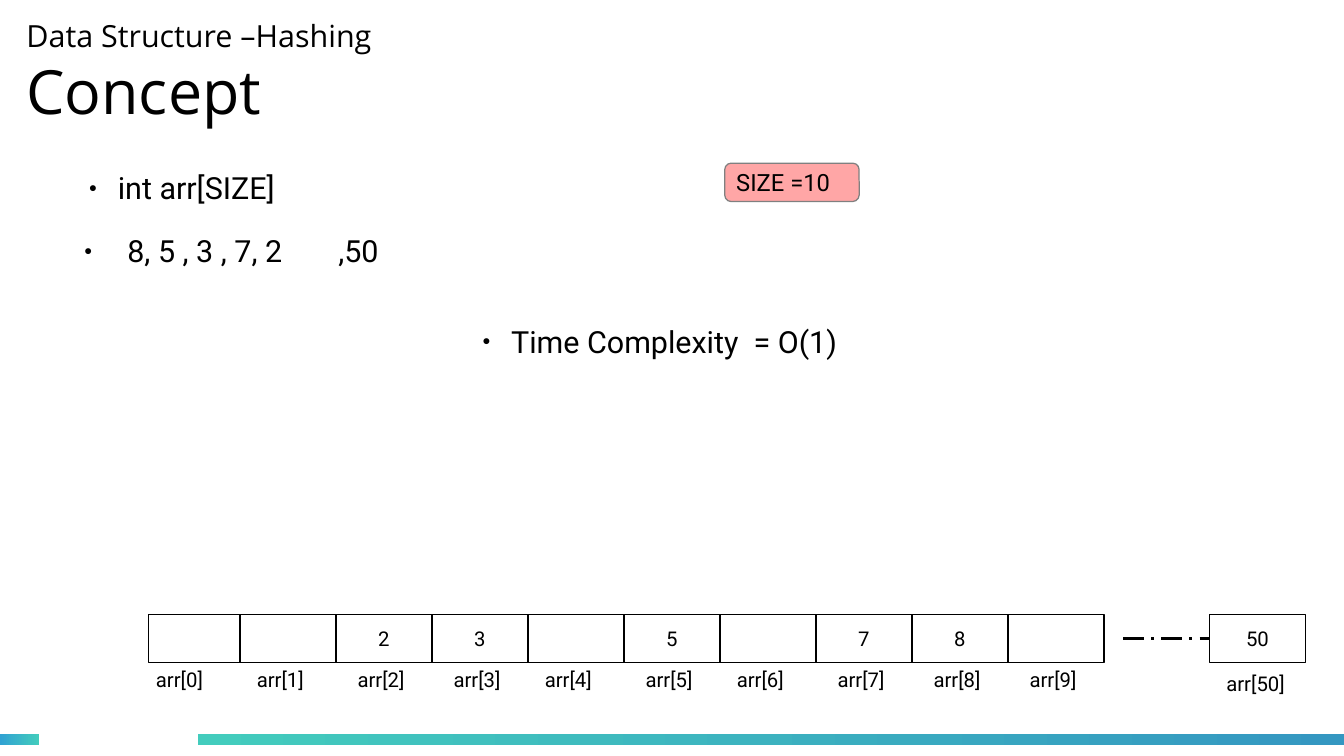
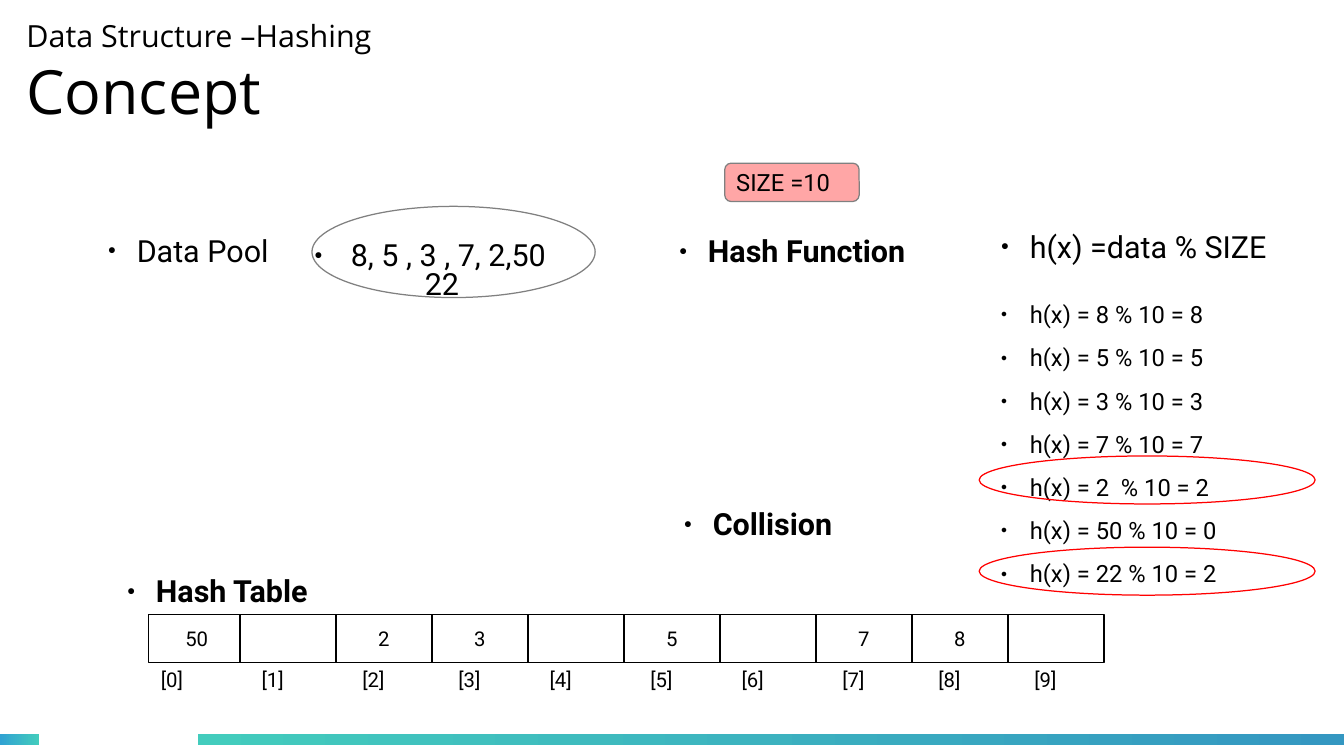
import pptx
import pptx.dml.color
import pptx.enum.dml
import pptx.enum.shapes
import pptx.enum.text
import pptx.oxml.ns
import pptx.util
from lxml import etree

Cm, Pt = pptx.util.Cm, pptx.util.Pt
RGBColor = pptx.dml.color.RGBColor
SHAPE = pptx.enum.shapes.MSO_SHAPE
ALIGN = pptx.enum.text.PP_ALIGN
ANCHOR = pptx.enum.text.MSO_ANCHOR
qn = pptx.oxml.ns.qn

BLACK = RGBColor(0x00, 0x00, 0x00)
WHITE = RGBColor(0xFF, 0xFF, 0xFF)
GREY = RGBColor(0x80, 0x80, 0x80)
RED = RGBColor(0xFF, 0x00, 0x00)
PINK = RGBColor(0xFF, 0xA6, 0xA6)
TEAL = RGBColor(0x43, 0xCC, 0xBD)
SKY = RGBColor(0x30, 0xA2, 0xD2)
BLUE = RGBColor(0x34, 0x97, 0xC1)

TITLE_FONT, BODY_FONT = "Open Sans", "Roboto"
WIDTH, HEIGHT = 28, 15.75
ARRAY_LEFT, ARRAY_TOP = 3, 12.8
CELL_WIDTH, CELL_HEIGHT = 2, 1
LABEL_OFFSETS = (0, 0.1, 0.2, 0.2, 0.1, 0.2, 0.1, 0.2, 0.2, 0.2)


def add_bullet(p, margin, hang):
    """Give a paragraph a small black dot and a hanging indent."""
    pPr = p._p.get_or_add_pPr()
    pPr.set("marL", str(Cm(margin)))
    pPr.set("indent", str(-Cm(hang)))
    color = etree.SubElement(pPr, qn("a:buClr"))
    etree.SubElement(color, qn("a:srgbClr"), val=str(BLACK))
    etree.SubElement(pPr, qn("a:buSzPct"), val="45000")
    etree.SubElement(pPr, qn("a:buFont"), typeface="Arial")
    etree.SubElement(pPr, qn("a:buChar"), char="●")


def write(tf, text, size=18, bold=False, font=BODY_FONT, align=ALIGN.LEFT,
          margin=0, hang=0, before=0, new=False):
    """Write one formatted paragraph, bulleted when it has a hanging indent."""
    p = tf.add_paragraph() if new else tf.paragraphs[0]
    if hang:
        add_bullet(p, margin or hang, hang)
    p.alignment = align
    p.space_before, p.space_after = Pt(before), Pt(0)
    r = p.add_run()
    r.text = text
    r.font.name, r.font.size, r.font.bold = font, Pt(size), bold
    r.font.color.rgb = BLACK
    return p


def add_label(s, text, left, top, width=2.2, **fmt):
    """Add a text box that wraps at its width."""
    tb = s.shapes.add_textbox(Cm(left), Cm(top), Cm(width), Cm(0.85))
    tb.text_frame.word_wrap = True
    write(tb.text_frame, text, **fmt)


def add_shape(s, kind, left, top, width, height, fill=None, line=None, weight=0):
    """Add a flat preset shape."""
    sp = s.shapes.add_shape(kind, Cm(left), Cm(top), Cm(width), Cm(height))
    sp.shadow.inherit = False
    if fill is None:
        sp.fill.background()
    else:
        sp.fill.solid()
        sp.fill.fore_color.rgb = fill
    if line is None:
        sp.line.fill.background()
    else:
        sp.line.color.rgb = line
        sp.line.width = Pt(weight)
    return sp


def add_cell(s, left, top, value=""):
    """Add one array cell with its value."""
    sp = add_shape(s, SHAPE.RECTANGLE, left, top, CELL_WIDTH, CELL_HEIGHT,
                   WHITE, BLACK, 0.79)
    if value:
        write(sp.text_frame, value, size=12, align=ALIGN.CENTER)
    return sp


def add_array(s, left, top, values, label, shift=0):
    """Draw ten cells in a row with an index label under each."""
    for i, offset in enumerate(LABEL_OFFSETS):
        x = left + CELL_WIDTH * i
        add_cell(s, x if i else x + 0.1, top, values.get(i, ""))
        add_label(s, label.format(i), x + offset + shift, top + 0.98, size=12)


def add_size_tag(s, left, top):
    """Add the pink tag that states the array size."""
    sp = add_shape(s, SHAPE.ROUNDED_RECTANGLE, left, top, 2.8, 0.8, PINK, GREY)
    tf = sp.text_frame
    tf.word_wrap = False
    tf.margin_left = Cm(0.2)
    tf.margin_top = tf.margin_bottom = 0
    tf.vertical_anchor = ANCHOR.MIDDLE
    write(tf, "SIZE =10", size=14)


def add_list(s, left, top, width, height, items):
    """Fill the body placeholder with bulleted lines."""
    body = s.placeholders[1]
    body.left, body.top = Cm(left), Cm(top)
    body.width, body.height = Cm(width), Cm(height)
    tf = body.text_frame
    tf.auto_size = pptx.enum.text.MSO_AUTO_SIZE.NONE
    for i, (text, fmt) in enumerate(items):
        write(tf, text, new=i > 0, **fmt)


def prepare_template(prs):
    """Set the slide size and the title and body places that slides share."""
    prs.slide_width, prs.slide_height = Cm(WIDTH), Cm(HEIGHT)
    master, layout = prs.slide_master, prs.slide_layouts[1]
    for other in list(prs.slide_layouts):
        if other.name != layout.name:
            prs.slide_layouts.remove(other)
    for owner in (master, layout):
        for ph in list(owner.placeholders)[2:]:
            ph.element.getparent().remove(ph.element)
        title = owner.placeholders[0]
        title.left, title.top = Cm(0.55), Cm(0.2)
        title.width, title.height = Cm(19.5), Cm(2.6)
        body = owner.placeholders[1]
        body.left, body.top = Cm(1.5), Cm(3.4)
        body.width, body.height = Cm(25), Cm(9)
    return layout


def add_bands(prs, s):
    """Draw the gradient bands and move them to the slide master."""
    tree = prs.slide_master.element.find(".//" + qn("p:spTree"))
    for left, width, colors in ((0, 0.82, (SKY, TEAL)),
                                (4.13, WIDTH - 4.13, (TEAL, BLUE))):
        sp = add_shape(s, SHAPE.RECTANGLE, left, 15.3, width, 0.22)
        sp.fill.gradient()
        sp.fill.gradient_angle = 0
        for stop, color in zip(sp.fill.gradient_stops, colors):
            stop.color.rgb = color
        tree.append(sp.element)


def add_concept_slide(prs, layout):
    """Add a slide with the two-line title and the size tag."""
    s = prs.slides.add_slide(layout)
    tf = s.shapes.title.text_frame
    tf.auto_size = pptx.enum.text.MSO_AUTO_SIZE.NONE
    tf.margin_left = tf.margin_top = tf.margin_right = tf.margin_bottom = 0
    tf.vertical_anchor = ANCHOR.MIDDLE
    p = write(tf, "Data Structure –Hashing", font=TITLE_FONT)
    p.add_line_break()
    write(tf, "Concept", size=36, font=TITLE_FONT)
    add_size_tag(s, 15.1, 3.4)
    return s


def fill_direct_index(s):
    """Show values stored at the index equal to the value."""
    add_list(s, 1.5, 3.4, 5.4, 2.6, [
        ("int arr[SIZE]", dict(margin=0.7, hang=0.6)),
        ("8, 5 , 3 , 7, 2", dict(hang=0.9, before=15.5)),
    ])
    add_label(s, ",50", 6.8, 4.7)
    add_label(s, "Time Complexity  = O(1)", 9.8, 6.6, 11, hang=0.6)
    add_array(s, ARRAY_LEFT, ARRAY_TOP, {i: str(i) for i in (2, 3, 5, 7, 8)},
              "arr[{}]")
    last = add_cell(s, 25.2, ARRAY_TOP, "50")
    add_label(s, "arr[50]", 25.3, ARRAY_TOP + 1.05, size=12)
    middle = Cm(ARRAY_TOP + CELL_HEIGHT / 2)
    gap = s.shapes.add_connector(pptx.enum.shapes.MSO_CONNECTOR.STRAIGHT,
                                 Cm(23.4), middle, Cm(25.2), middle)
    gap.end_connect(last, 1)
    gap.line.color.rgb = BLACK
    gap.line.width = Pt(1.5)
    gap.line.dash_style = pptx.enum.dml.MSO_LINE.LONG_DASH_DOT
    etree.SubElement(gap.element.spPr, qn("a:effectLst"))


def fill_hash_function(s):
    """Show the data pool, the hash function, the collision and the table."""
    steps = ("8 % 10 = 8", "5 % 10 = 5", "3 % 10 = 3", "7 % 10 = 7",
             "2  % 10 = 2", "50 % 10 = 0", "22 % 10 = 2")
    items = [("h(x) =data % SIZE", dict(hang=0.6))]
    for i, step in enumerate(steps):
        items.append(("h(x) = " + step,
                      dict(size=14, hang=0.6, before=8.7 if i else 21)))
    add_list(s, 20.6, 4.62, 7.4, 8, items)
    for top in (9.5, 11.4):
        add_shape(s, SHAPE.OVAL, 20.4, top, 7, 1, line=RED)
    add_shape(s, SHAPE.OVAL, 6.5, 4.3, 5.9, 1.9, WHITE, GREY)
    add_label(s, "8, 5 , 3 , 7, 2,50", 6.3, 4.8, 6.9, hang=0.76)
    add_label(s, "22", 8.6, 5.4)
    add_label(s, "Data Pool", 2, 4.7, 4.8, hang=0.6)
    for text, left, top in (("Hash Table", 2.4, 11.8),
                            ("Hash Function", 13.9, 4.72),
                            ("Collision", 14, 10.4)):
        add_label(s, text, left, top, 6.5, bold=True, hang=0.6)
    values = {i: str(i) for i in (2, 3, 5, 7, 8)}
    add_array(s, ARRAY_LEFT, ARRAY_TOP, {0: "50", **values}, "[{}]", 0.1)


def main():
    """Build and save the two slides."""
    prs = pptx.Presentation()
    layout = prepare_template(prs)
    first = add_concept_slide(prs, layout)
    add_bands(prs, first)
    fill_direct_index(first)
    fill_hash_function(add_concept_slide(prs, layout))
    prs.save("out.pptx")


if __name__ == "__main__":
    main()
